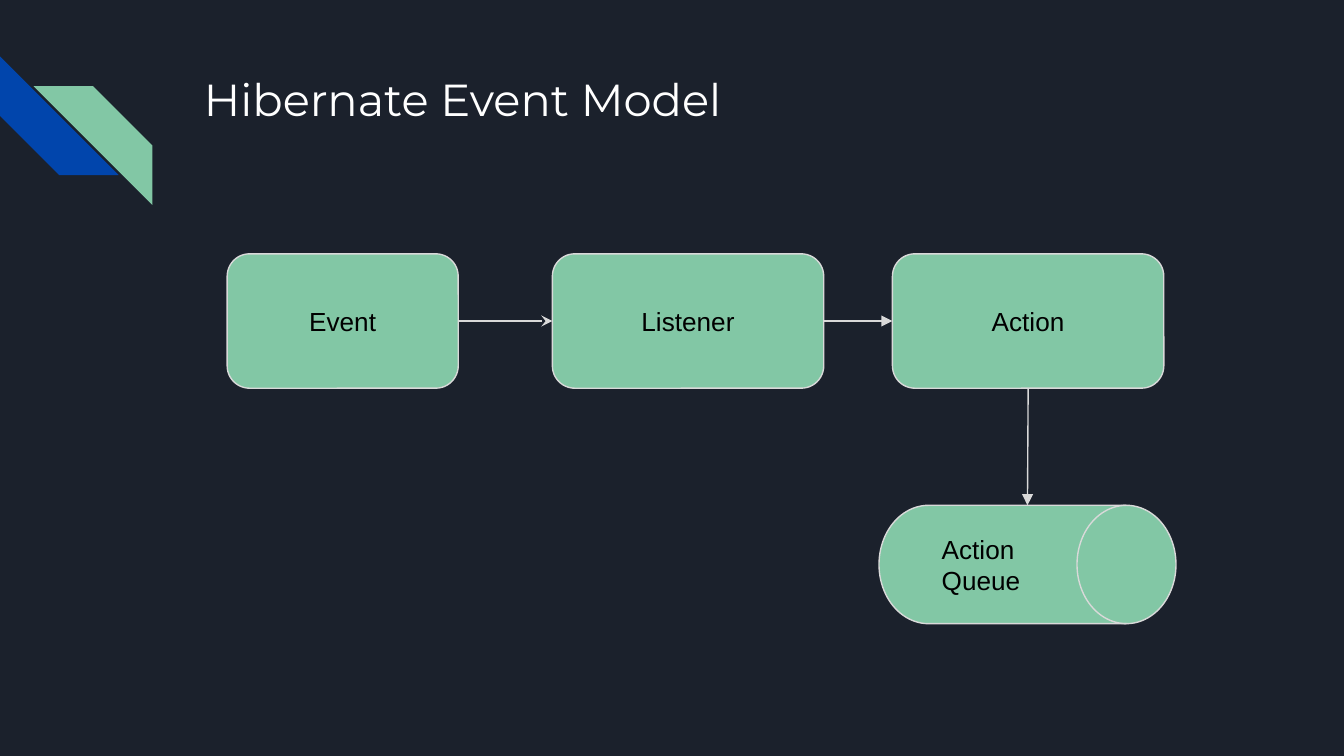
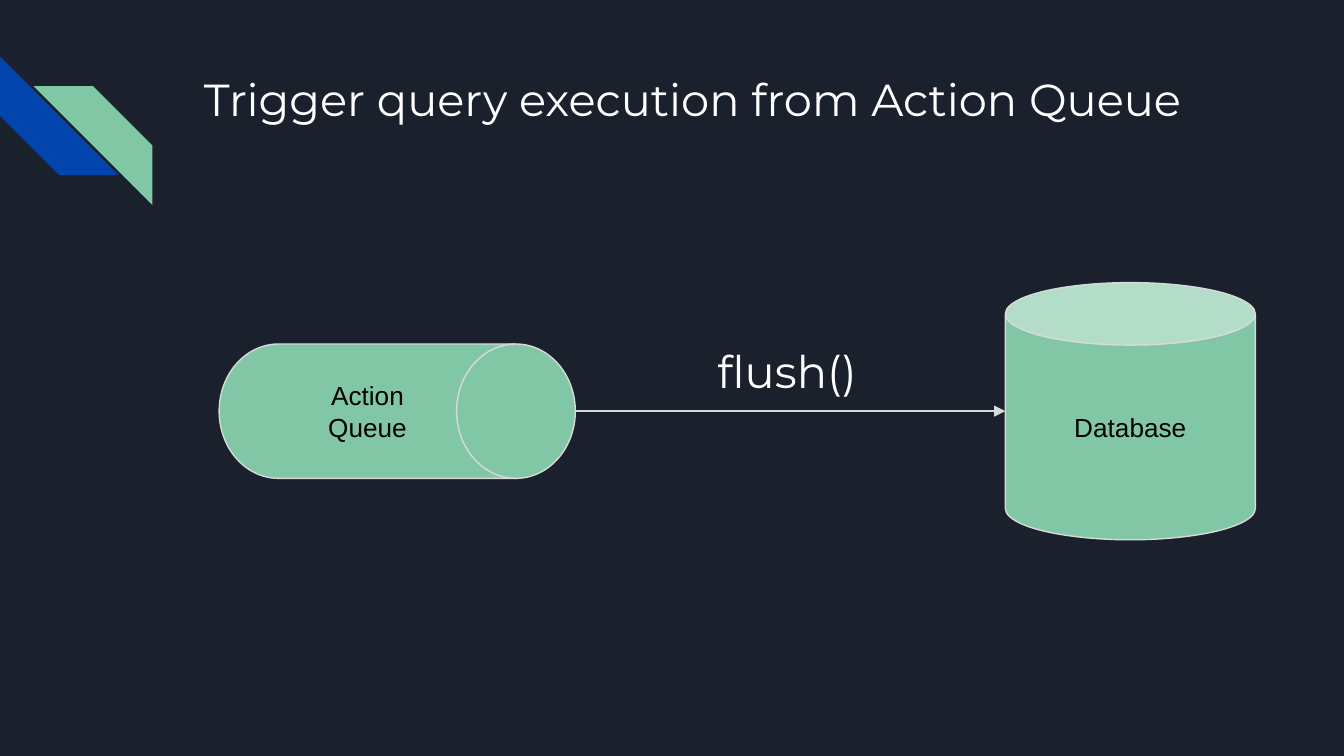
from dataclasses import dataclass

from lxml.etree import SubElement
from pptx import Presentation
from pptx.dml.color import RGBColor
from pptx.enum.shapes import MSO_CONNECTOR, MSO_SHAPE
from pptx.enum.text import MSO_ANCHOR, PP_ALIGN
from pptx.oxml.ns import qn
from pptx.util import Pt

# Shared style
NAVY, BLUE, GREEN = "1B212C", "0145AC", "82C7A5"
GREY, WHITE, BLACK = "D9D9D9", "FFFFFF", "000000"
HEADING_FONT, LABEL_FONT = "Montserrat", "Arial"
HEADING_SIZE, LABEL_SIZE = 24, 14
LINE_WIDTH = 0.75
INSET = 7.2
TOP, LEFT, BOTTOM, RIGHT = range(4)


@dataclass
class Area:
    left: float
    top: float
    width: float
    height: float

    @property
    def right(self) -> float:
        return self.left + self.width

    @property
    def middle(self) -> float:
        return self.top + self.height / 2

    def lengths(self) -> tuple:
        return Pt(self.left), Pt(self.top), Pt(self.width), Pt(self.height)


@dataclass
class Stripe:
    area: Area
    rotation: int
    color: str


@dataclass
class Node:
    label: str
    kind: MSO_SHAPE
    area: Area
    align: PP_ALIGN = PP_ALIGN.CENTER


TITLE_AREA = Area(102.2, 31, 554.4, 72)
STRIPES = [
    Stripe(Area(0, 30.2, 63.6, 63.6), 270, BLUE),
    Stripe(Area(18, 46.2, 63.6, 63.6), 90, GREEN),
]


def rgb(color: str) -> RGBColor:
    return RGBColor.from_string(color)


def write(box, text: str, *, font: str, size: float, color: str,
          align: PP_ALIGN = PP_ALIGN.LEFT, anchor: MSO_ANCHOR = MSO_ANCHOR.TOP) -> None:
    frame = box.text_frame
    frame.word_wrap = True
    frame.vertical_anchor = anchor
    frame.margin_left = frame.margin_right = Pt(INSET)
    frame.margin_top = frame.margin_bottom = Pt(INSET)
    para = frame.paragraphs[0]
    para.alignment = align
    span = para.add_run()
    span.text = text
    span.font.name = font
    span.font.size = Pt(size)
    span.font.color.rgb = rgb(color)


def add_heading(page, text: str, area: Area) -> None:
    box = page.shapes.add_textbox(*area.lengths())
    write(box, text, font=HEADING_FONT, size=HEADING_SIZE, color=WHITE)


def add_filled(page, kind: MSO_SHAPE, area: Area, color: str):
    shape = page.shapes.add_shape(kind, *area.lengths())
    shape.shadow.inherit = False
    shape.fill.solid()
    shape.fill.fore_color.rgb = rgb(color)
    shape.line.fill.background()
    return shape


def add_node(page, node: Node):
    shape = add_filled(page, node.kind, node.area, GREEN)
    shape.line.color.rgb = rgb(GREY)
    shape.line.width = Pt(LINE_WIDTH)
    write(shape, node.label, font=LABEL_FONT, size=LABEL_SIZE, color=BLACK,
          align=node.align, anchor=MSO_ANCHOR.MIDDLE)
    return shape


def add_arrow(page, start: tuple = (0, 0), end: tuple = (0, 0), head: str = "triangle"):
    points = [Pt(value) for value in (*start, *end)]
    arrow = page.shapes.add_connector(MSO_CONNECTOR.STRAIGHT, *points)
    arrow.line.color.rgb = rgb(GREY)
    arrow.line.width = Pt(LINE_WIDTH)
    SubElement(arrow.line._get_or_add_ln(), qn("a:tailEnd"), type=head)
    SubElement(arrow._element.spPr, qn("a:effectLst"))
    return arrow


def join(page, source, source_side: int, target, target_side: int,
         head: str = "triangle") -> None:
    arrow = add_arrow(page, head=head)
    arrow.begin_connect(source, source_side)
    arrow.end_connect(target, target_side)


def add_page(deck, title: str):
    page = deck.slides.add_slide(deck.slide_layouts[6])
    page.background.fill.solid()
    page.background.fill.fore_color.rgb = rgb(NAVY)
    for stripe in STRIPES:
        shape = add_filled(page, MSO_SHAPE.DIAGONAL_STRIPE, stripe.area, stripe.color)
        shape.rotation = stripe.rotation
    add_heading(page, title, TITLE_AREA)
    return page


def build_event_model(deck) -> None:
    page = add_page(deck, "Hibernate Event Model")

    # Row of processing steps
    steps = [("Event", 121.7, 123.8), ("Listener", 295.9, 145.4), ("Action", 478.1, 145.4)]
    event, listener, action = [
        add_node(page, Node(label, MSO_SHAPE.FLOWCHART_ALTERNATE_PROCESS,
                            Area(left, 136, width, 72)))
        for label, left, width in steps
    ]
    queue = add_node(page, Node("Action Queue", MSO_SHAPE.FLOWCHART_DIRECT_ACCESS_STORAGE,
                                Area(470.9, 270.7, 159.1, 63.4), PP_ALIGN.LEFT))

    # Flow between the steps
    join(page, event, RIGHT, listener, LEFT, head="stealth")
    join(page, listener, RIGHT, action, LEFT)
    join(page, action, BOTTOM, queue, TOP)


def build_query_trigger(deck) -> None:
    page = add_page(deck, "Trigger query execution from Action Queue")
    queue = Node("Action Queue", MSO_SHAPE.FLOWCHART_DIRECT_ACCESS_STORAGE,
                 Area(117.4, 184.3, 190.8, 72))
    database = Node("Database", MSO_SHAPE.CAN, Area(538.6, 151.4, 133.9, 137.8))
    for node in (queue, database):
        add_node(page, node)

    # Flush from queue to database
    add_arrow(page, (queue.area.right, queue.area.middle),
              (database.area.left, queue.area.middle))
    add_heading(page, "flush()", Area(377.3, 177.1, 133.9, 34.6))


def main() -> None:
    deck = Presentation()
    deck.slide_width, deck.slide_height = Pt(720), Pt(405)
    build_event_model(deck)
    build_query_trigger(deck)
    deck.save("out.pptx")


if __name__ == "__main__":
    main()
